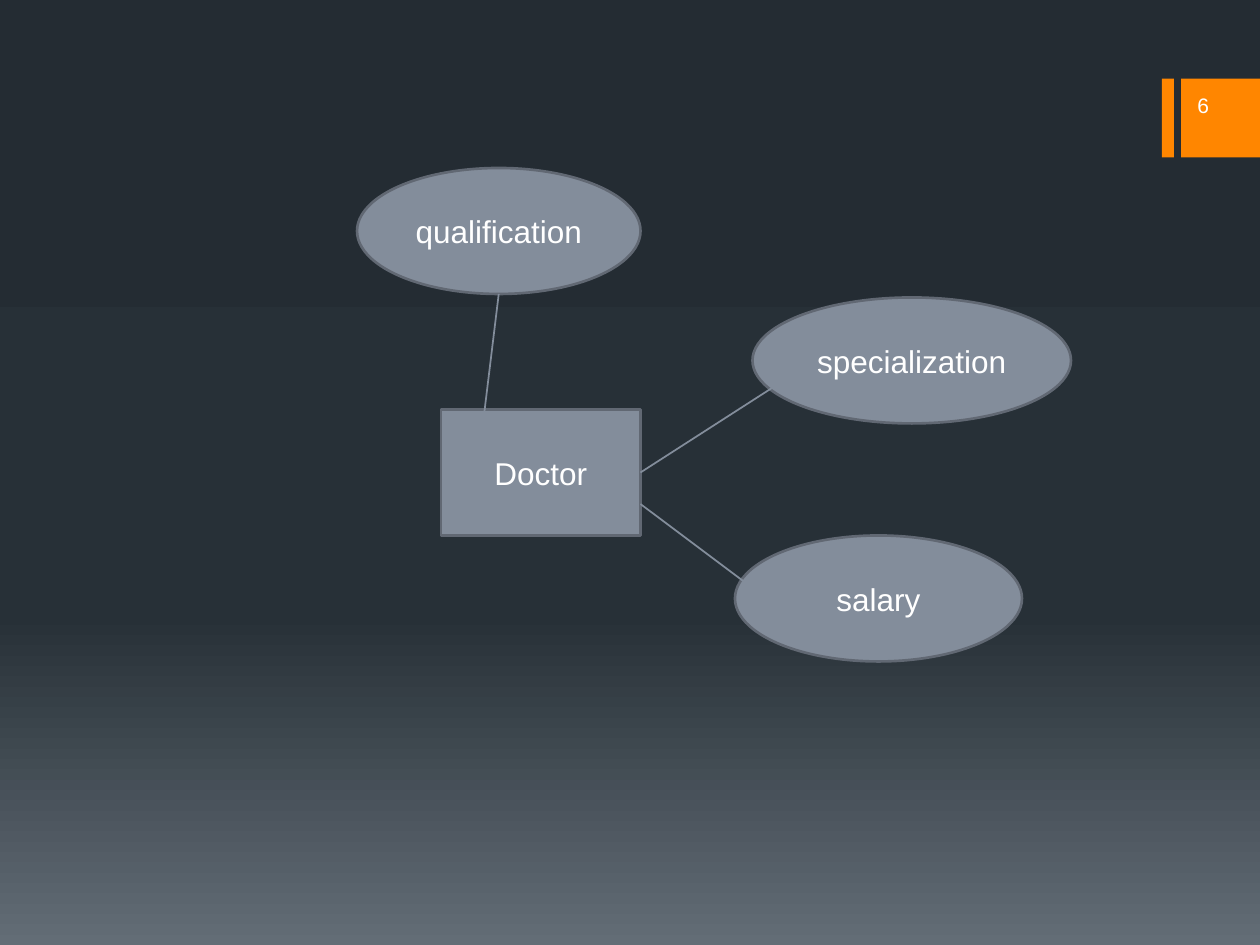
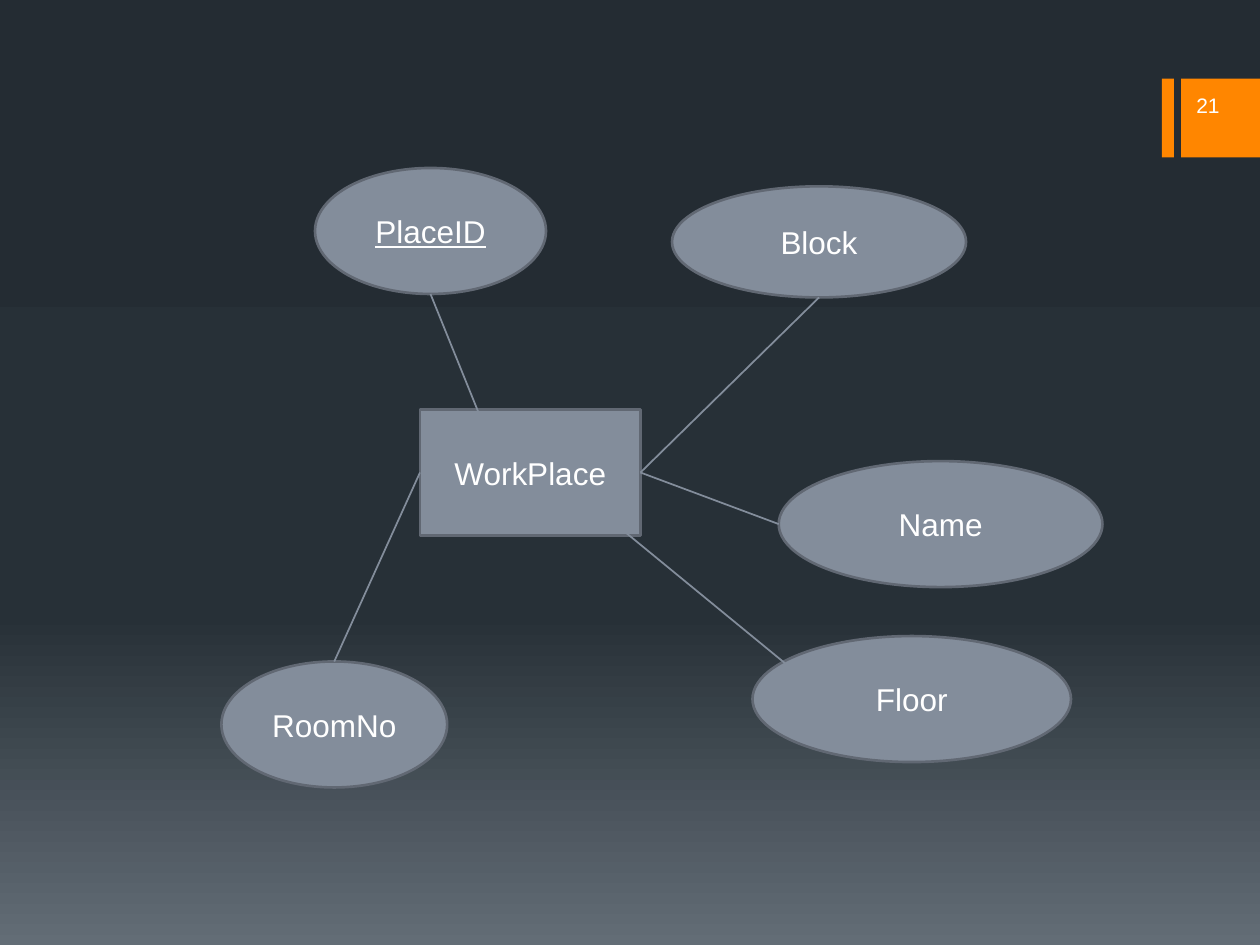
from copy import deepcopy
from pptx import Presentation
from pptx.dml.color import RGBColor as Rgb
from pptx.enum.shapes import MSO_CONNECTOR as Link, MSO_SHAPE as Preset
from pptx.enum.text import MSO_ANCHOR as Anchor, PP_ALIGN as Align
from pptx.oxml.ns import qn
from pptx.util import Pt

COLORS = {
    "top": "242C33", "middle": "273037", "bottom": "636D76",
    "band": "FF8600", "node": "838D9B", "outline": "616873", "text": "FFFFFF",
}
BANDS = [(664, 6.8), (675, 45)]
BAND_TOP = BAND_HEIGHT = 45
FONT = {"name": "Arial", "size": Pt(18), "underline": False}

DIAGRAMS = [
    {
        "number": "6", "number_left": 624,
        "entity": ("Doctor", 252, 234, 114, 72),
        "attributes": [
            ("qualification", 204, 96, 162, 72),
            ("specialization", 430, 170, 182, 72),
            ("salary", 420, 306, 164, 72),
        ],
        "links": [
            ((276, 242), (285, 168)),
            ((366, 270), (450, 216)),
            ((366, 288), (430, 336)),
        ],
    },
    {
        "number": "21", "number_left": 630,
        "entity": ("WorkPlace", 240, 234, 126, 72),
        "attributes": [
            ("PlaceID", 180, 96, 132, 72),
            ("Block", 384, 106.5, 168, 63.5),
            ("Floor", 430, 363.5, 182, 72),
            ("RoomNo", 126.5, 378, 129, 72),
            ("Name", 445, 263.5, 185, 72),
        ],
        "links": [
            ((276, 242), (246, 168)),
            ((366, 270), (468, 170)),
            ((348, 296.5), (462, 390)),
            ((240, 270), (191, 378)),
            ((366, 270), (445, 299.5)),
        ],
    },
]
KEY = "PlaceID"


def add_block(slide, preset, box, fill, outline=None):
    block = slide.shapes.add_shape(preset, *map(Pt, box))
    block.shadow.inherit = False
    block.fill.solid()
    block.fill.fore_color.rgb = Rgb.from_string(COLORS[fill])
    if outline:
        block.line.color.rgb = Rgb.from_string(COLORS[outline])
        block.line.width = Pt(1.5)
    else:
        block.line.fill.background()
    return block


def write(holder, words, align, **changes):
    frame = holder.text_frame
    frame.word_wrap = True
    frame.vertical_anchor = Anchor.MIDDLE
    line = frame.paragraphs[0]
    line.alignment = align
    run = line.add_run()
    run.text = words
    for key, value in {**FONT, **changes}.items():
        setattr(run.font, key, value)
    run.font.color.rgb = Rgb.from_string(COLORS["text"])


deck = Presentation()
deck.slide_width, deck.slide_height = Pt(720), Pt(540)

master = deck.slide_master
backdrop = master.background.fill
backdrop.gradient()
backdrop.gradient_angle = 270
stop_list = master.element.find(".//" + qn("p:bg")).find(".//" + qn("a:gsLst"))
stop_list.append(deepcopy(stop_list[-1]))
for stop, color, position in zip(backdrop.gradient_stops, ("top", "middle", "bottom"), (0, 0.65, 1)):
    stop.color.rgb = Rgb.from_string(COLORS[color])
    stop.position = position

for diagram in DIAGRAMS:
    slide = deck.slides.add_slide(deck.slide_layouts[6])
    for left, width in BANDS:
        add_block(slide, Preset.RECTANGLE, (left, BAND_TOP, width, BAND_HEIGHT), "band")

    name, left, top, width, height = diagram["entity"]
    entity = add_block(slide, Preset.RECTANGLE, (left, top, width, height), "node", "outline")
    write(entity, name, Align.CENTER)
    side_middles = {
        (left + width / 2, top): 0,
        (left, top + height / 2): 1,
        (left + width / 2, top + height): 2,
        (left + width, top + height / 2): 3,
    }

    for name, *box in diagram["attributes"]:
        attribute = add_block(slide, Preset.OVAL, box, "node", "outline")
        write(attribute, name, Align.CENTER, underline=name == KEY)

    for start, end in diagram["links"]:
        link = slide.shapes.add_connector(Link.STRAIGHT, *map(Pt, start + end))
        link.line.color.rgb = Rgb.from_string(COLORS["node"])
        link.line.width = Pt(1)
        properties = link.element.spPr
        properties.append(properties.makeelement(qn("a:effectLst"), {}))
        if start in side_middles:
            link.begin_connect(entity, side_middles[start])

    number = slide.shapes.add_textbox(Pt(diagram["number_left"]), Pt(48), Pt(74), Pt(24))
    write(number, diagram["number"], Align.RIGHT, size=Pt(12))

deck.save("out.pptx")
